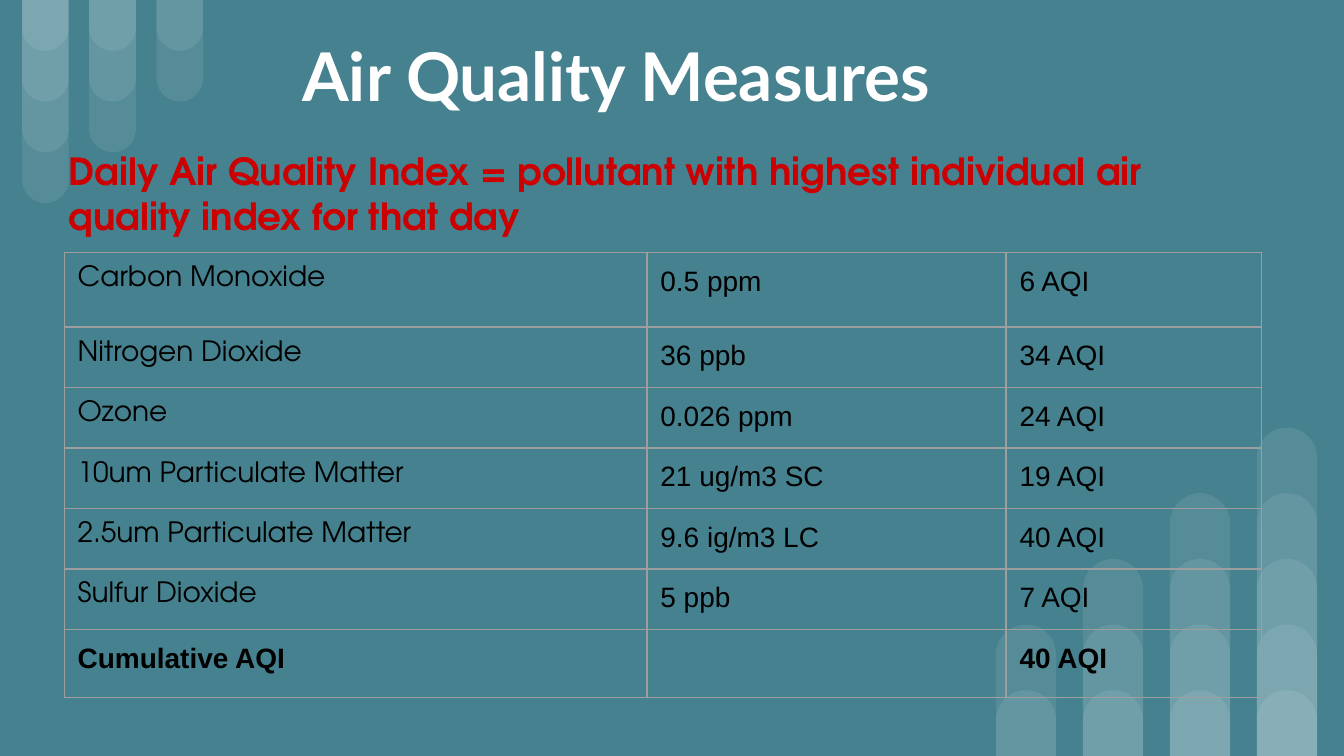
"""Build the Air Quality Measures slide with its pollutant table."""
from dataclasses import dataclass

import pptx
import pptx.dml.color
import pptx.enum.shapes
import pptx.enum.text
import pptx.oxml
import pptx.oxml.ns
import pptx.util

Pt = pptx.util.Pt
RGBColor = pptx.dml.color.RGBColor

TEAL = RGBColor(0x45, 0x81, 0x8E)
WHITE = RGBColor(0xFF, 0xFF, 0xFF)
RED = RGBColor(0xCC, 0x00, 0x00)
BLACK = RGBColor(0x00, 0x00, 0x00)
GREY = RGBColor(0x9E, 0x9E, 0x9E)

HEADING_FONT, BODY_FONT, VALUE_FONT = "Lato", "TeX Gyre Adventor", "Arial"
SLIDE_WIDTH, SLIDE_HEIGHT = 720, 405
INSET = 7.2
COLUMN_WIDTHS = (312.2, 192.4, 137)
ROW_HEIGHTS = (39.8,) + (32.4,) * 5 + (36,)


@dataclass(frozen=True)
class BarGroup:
    left: float
    pitch: float
    width: float
    step: float
    counts: tuple[int, ...]
    hanging: bool


@dataclass(frozen=True)
class Measure:
    pollutant: str
    level: str
    index: str
    total: bool = False


BAR_GROUPS = (
    BarGroup(11.8, 36, 25, 27.2, (4, 3, 2), True),
    BarGroup(533.5, 46.6, 32.3, 35.2, (2, 3, 4, 5), False),
)

MEASURES = (
    Measure("Carbon Monoxide", "0.5 ppm", "6 AQI"),
    Measure("Nitrogen Dioxide", "36 ppb", "34 AQI"),
    Measure("Ozone", "0.026 ppm", "24 AQI"),
    Measure("10um Particulate Matter", "21 ug/m3 SC", "19 AQI"),
    Measure("2.5um Particulate Matter", "9.6 ig/m3 LC", "40 AQI"),
    Measure("Sulfur Dioxide", "5 ppb", "7 AQI"),
    Measure("Cumulative AQI", "", "40 AQI", total=True),
)


def draw_bar(s, left: float, width: float, height: float, hanging: bool) -> None:
    top = 0 if hanging else SLIDE_HEIGHT - height
    sp = s.shapes.add_shape(
        pptx.enum.shapes.MSO_SHAPE.ROUND_2_SAME_RECTANGLE,
        Pt(left), Pt(top), Pt(width), Pt(height))
    sp.adjustments[0] = 0.5
    sp.rotation = 180 if hanging else 0
    sp.shadow.inherit = False
    sp.line.fill.background()
    sp.fill.solid()
    sp.fill.fore_color.rgb = WHITE
    color = sp.fill._xPr.find(".//" + pptx.oxml.ns.qn("a:srgbClr"))
    color.append(pptx.oxml.parse_xml(
        f'<a:alpha {pptx.oxml.ns.nsdecls("a")} val="9000"/>'))


def draw_bar_group(s, group: BarGroup) -> None:
    for i, count in enumerate(group.counts):
        for n in range(count, 0, -1):
            draw_bar(s, group.left + i * group.pitch, group.width,
                     n * group.step, group.hanging)


def set_font(p, name: str, size: float, color: RGBColor, bold: bool) -> None:
    p.font.name = name
    p.font.size = Pt(size)
    p.font.bold = bold
    p.font.color.rgb = color


def set_text(sp, text: str, name: str, size: float, color: RGBColor,
             anchor) -> None:
    tf = sp.text_frame
    tf.word_wrap = True
    tf.auto_size = pptx.enum.text.MSO_AUTO_SIZE.NONE
    tf.vertical_anchor = anchor
    tf.margin_left = tf.margin_right = Pt(INSET)
    tf.margin_top = tf.margin_bottom = Pt(INSET)
    tf.text = text
    p = tf.paragraphs[0]
    p.alignment = pptx.enum.text.PP_ALIGN.LEFT
    set_font(p, name, size, color, True)


def set_cell(cell, text: str, name: str, bold: bool) -> None:
    cell.margin_left = cell.margin_right = Pt(INSET)
    cell.margin_top = cell.margin_bottom = Pt(INSET)
    if text:
        cell.text = text
        set_font(cell.text_frame.paragraphs[0], name, 15, BLACK, bold)
    tcPr = cell._tc.get_or_add_tcPr()
    for side in ("lnL", "lnR", "lnT", "lnB"):
        tcPr.append(pptx.oxml.parse_xml(
            f'<a:{side} {pptx.oxml.ns.nsdecls("a")} w="{Pt(0.75)}">'
            f'<a:solidFill><a:srgbClr val="{GREY}"/></a:solidFill></a:{side}>'))
    cell.fill.background()


def draw_table(s, measures: tuple[Measure, ...]) -> None:
    table = s.shapes.add_table(
        len(measures), len(COLUMN_WIDTHS), Pt(34.4), Pt(135.4),
        Pt(sum(COLUMN_WIDTHS)), Pt(sum(ROW_HEIGHTS))).table
    table.first_row = table.horz_banding = False
    for column, width in zip(table.columns, COLUMN_WIDTHS):
        column.width = Pt(width)
    for i, (measure, height) in enumerate(zip(measures, ROW_HEIGHTS)):
        table.rows[i].height = Pt(height)
        label_font = VALUE_FONT if measure.total else BODY_FONT
        set_cell(table.cell(i, 0), measure.pollutant, label_font, measure.total)
        set_cell(table.cell(i, 1), measure.level, VALUE_FONT, measure.total)
        set_cell(table.cell(i, 2), measure.index, VALUE_FONT, measure.total)


def main() -> None:
    prs = pptx.Presentation()
    prs.slide_width, prs.slide_height = Pt(SLIDE_WIDTH), Pt(SLIDE_HEIGHT)
    s = prs.slides.add_slide(prs.slide_layouts[5])
    s.background.fill.solid()
    s.background.fill.fore_color.rgb = TEAL

    for group in BAR_GROUPS:
        draw_bar_group(s, group)

    title = s.shapes.title
    title.left, title.top = Pt(154.8), Pt(0)
    title.width, title.height = Pt(429), Pt(80)
    set_text(title, "Air Quality Measures", HEADING_FONT, 36, WHITE,
             pptx.enum.text.MSO_ANCHOR.MIDDLE)

    definition = s.shapes.add_textbox(Pt(29.5), Pt(72), Pt(651.6), Pt(63.4))
    set_text(definition,
             "Daily Air Quality Index = pollutant with highest individual air "
             "quality index for that day",
             BODY_FONT, 20, RED, pptx.enum.text.MSO_ANCHOR.TOP)

    draw_table(s, MEASURES)
    prs.save("out.pptx")


if __name__ == "__main__":
    main()
